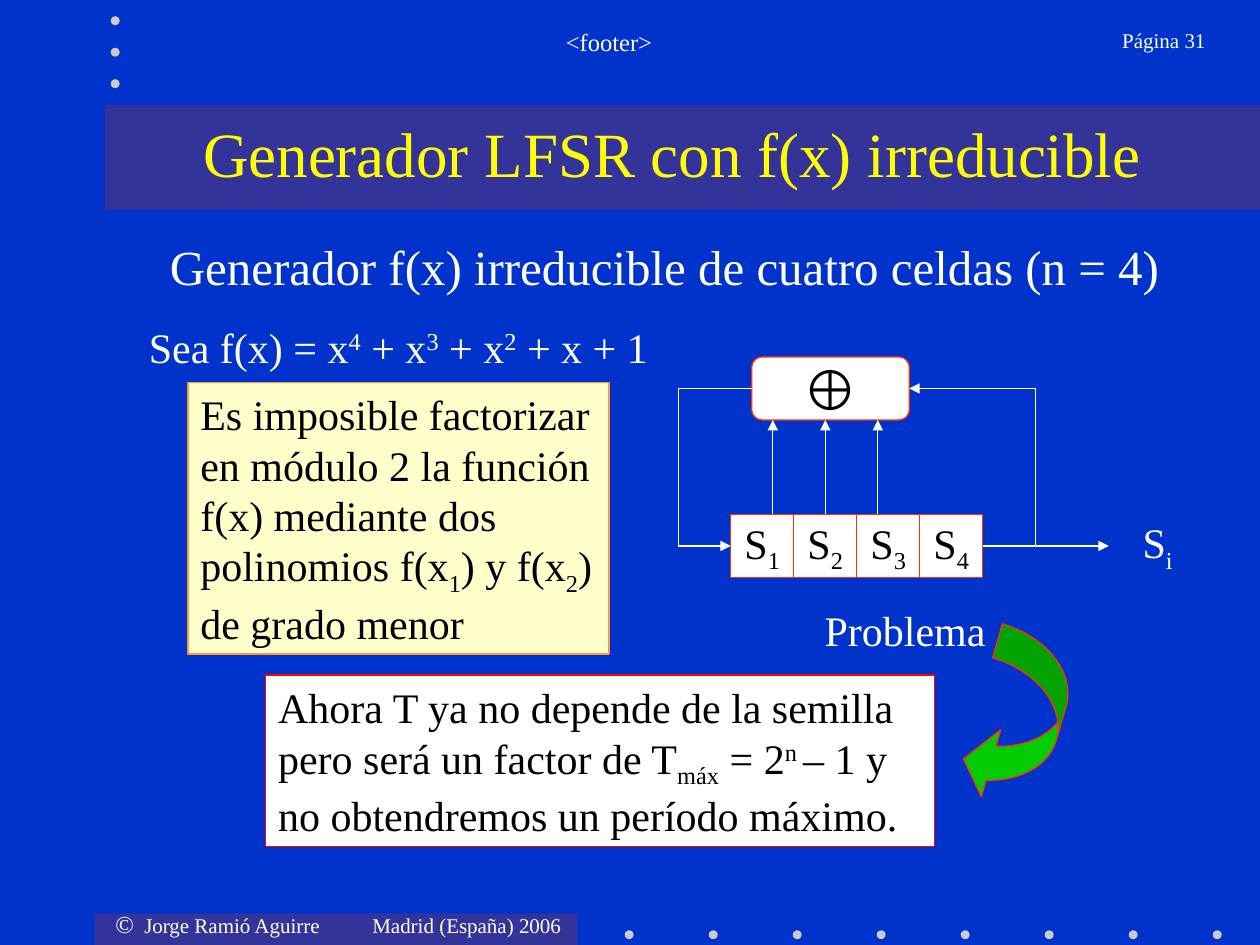
from lxml.etree import SubElement
from pptx import Presentation
from pptx.dml.color import RGBColor
from pptx.enum.shapes import MSO_CONNECTOR, MSO_SHAPE
from pptx.enum.text import MSO_ANCHOR, PP_ALIGN
from pptx.oxml.ns import qn
from pptx.util import Inches, Pt

BLUE = RGBColor(0x00, 0x33, 0xCC)
INDIGO = RGBColor(0x33, 0x33, 0x99)
GREY = RGBColor(0xCB, 0xCB, 0xCB)
WHITE = RGBColor(0xFF, 0xFF, 0xFF)
BLACK = RGBColor(0x00, 0x00, 0x00)
YELLOW = RGBColor(0xFF, 0xFF, 0x00)
CREAM = RGBColor(0xFF, 0xFF, 0xCC)
ORANGE = RGBColor(0xFF, 0x99, 0x33)
VERMILION = RGBColor(0xFF, 0x33, 0x00)
RED = RGBColor(0xFF, 0x00, 0x00)
GREEN = RGBColor(0x00, 0xCC, 0x00)
SUB, SUP = -25000, 30000
LEFT, CENTER, RIGHT = PP_ALIGN.LEFT, PP_ALIGN.CENTER, PP_ALIGN.RIGHT
TOP, MIDDLE = MSO_ANCHOR.TOP, MSO_ANCHOR.MIDDLE

prs = Presentation()
prs.slide_width, prs.slide_height = Inches(10), Inches(7.5)
COL = prs.slide_width / 120
ROW = prs.slide_height / 90
s = prs.slides.add_slide(prs.slide_layouts[5])
s.background.fill.solid()
s.background.fill.fore_color.rgb = BLUE


def grid(x, y, w, h):
    return round(x * COL), round(y * ROW), round(w * COL), round(h * ROW)


def write(paragraphs, at=None, shape=None, kind=None, fill=None, line=None, size=24,
          color=WHITE, font="Times New Roman", align=LEFT, anchor=MIDDLE, wrap=True,
          spacing=None, tabs=()):
    if kind is not None:
        shape = s.shapes.add_shape(kind, *grid(*at))
        shape.shadow.inherit = False
        shape.fill.solid()
        shape.fill.fore_color.rgb = fill
        if line is None:
            shape.line.fill.background()
        else:
            shape.line.color.rgb = line
            shape.line.width = Pt(0.75)
    elif shape is None:
        shape = s.shapes.add_textbox(*grid(*at))
    tf = shape.text_frame
    tf.word_wrap = wrap
    tf.vertical_anchor = anchor
    for i, runs in enumerate(paragraphs):
        p = tf.add_paragraph() if i else tf.paragraphs[0]
        p.alignment = align
        if spacing:
            p.line_spacing = spacing
        if tabs:
            tab_list = SubElement(p._p.get_or_add_pPr(), qn("a:tabLst"))
            for stop in tabs:
                SubElement(tab_list, qn("a:tab"), pos=str(Inches(stop)), algn="l")
        for run in runs:
            text, base = (run, 0) if isinstance(run, str) else run
            r = p.add_run()
            r.text = text
            r.font.name = font
            r.font.size = Pt(size)
            r.font.color.rgb = color
            if base:
                r._r.get_or_add_rPr().set("baseline", str(base))
    return shape


bands = [(9, 87, 46, 3), (10, 10, 110, 10)]
dots = [(59.5 + 8 * i, 88.6) for i in range(8)] + [(10.55, 1.55 + 3 * i) for i in range(3)]
for band in bands:
    write([], at=band, kind=MSO_SHAPE.RECTANGLE, fill=INDIGO)
for x, y in dots:
    write([], at=(x, y, 0.85, 0.85), kind=MSO_SHAPE.OVAL, fill=GREY)

copyright_box = write([["©"]], at=(9.8, 86, 45, 4), size=14, anchor=TOP, tabs=(0.23, 2.04))
r = copyright_box.text_frame.paragraphs[0].add_run()
r.text = "\tJorge Ramió Aguirre\tMadrid (España) 2006"
r.font.name = "Times New Roman"
r.font.size = Pt(12)
r.font.color.rgb = WHITE

write([["<footer>"]], at=(19, 2, 78, 6), size=14, align=CENTER, anchor=TOP)
write([["Página 31"]], at=(99.6, 2, 16.4, 6), size=12, align=RIGHT, anchor=TOP)

title = s.shapes.title
title.left, title.top, title.width, title.height = grid(10, 10, 108, 9)
write([["Generador LFSR con f(x) irreducible"]], shape=title, size=36, color=YELLOW, align=CENTER)
s.shapes._spTree.append(title._element)

write([["Generador f(x) irreducible de cuatro celdas (n = 4)"]], at=(15, 23, 97, 6),
      size=28, anchor=TOP, spacing=0.8)
write([["Sea f(x) = x", ("4", SUP), " + x", ("3", SUP), " + x", ("2", SUP), " + x + 1"]],
      at=(13, 30, 53, 6))
write([["Es imposible factorizar en módulo 2 la función f(x) mediante dos polinomios f(x",
        ("1", SUB), ") y f(x", ("2", SUB), ") de grado menor"]],
      at=(17.9, 36.4, 40.1, 25.9), kind=MSO_SHAPE.RECTANGLE, fill=CREAM, line=ORANGE, color=BLACK)
write([["Ahora T ya no depende de la semilla"],
       ["pero será un factor de T", ("máx", SUB), " = 2", ("n ", SUP),
        "– 1 y no obtendremos un período máximo."]],
      at=(25.3, 64.3, 63.7, 16.3), kind=MSO_SHAPE.RECTANGLE, fill=WHITE, line=RED, color=BLACK)

X0, CELL = 69.6, 6
cells = [write([["S", (str(i + 1), SUB)]], at=(X0 + i * CELL, 49, CELL, CELL),
               kind=MSO_SHAPE.RECTANGLE, fill=WHITE, line=VERMILION, color=BLACK,
               align=CENTER, wrap=False)
         for i in range(4)]
xor = write([["⊕"]], at=(X0 + 2, 34, 15, 6), kind=MSO_SHAPE.ROUNDED_RECTANGLE, fill=WHITE,
            line=VERMILION, color=BLACK, size=32, font="Arial", align=CENTER, wrap=False)
write([["S", ("i", SUB)]], at=(107.6, 48.6, 5.3, 6.7), align=CENTER, wrap=False)
write([["Problema"]], at=(77.3, 57, 17.8, 6), align=CENTER, wrap=False)

bus_left, bus_right = X0 - 5, X0 + 29
wires = [
    (bus_right, 52, bus_right, 37, False, None, None),
    (X0 + 24, 52, X0 + 36, 52, True, (cells[3], 3), None),
    (bus_left, 52, X0, 52, True, None, (cells[0], 1)),
    (bus_right, 37, X0 + 17, 37, True, None, (xor, 3)),
    (X0 + 2, 37, bus_left, 37, False, (xor, 1), None),
    (bus_left, 37, bus_left, 52, False, None, None),
    (X0 + 4, 49, X0 + 4, 40, True, None, None),
    (X0 + 9, 49, X0 + 9, 40, True, (cells[1], 0), None),
    (X0 + 14, 49, X0 + 14, 40, True, None, None),
]
for x1, y1, x2, y2, arrow, begin, end in wires:
    wire = s.shapes.add_connector(MSO_CONNECTOR.STRAIGHT, *grid(x1, y1, x2, y2))
    if begin:
        wire.begin_connect(*begin)
    if end:
        wire.end_connect(*end)
    wire.line.color.rgb = WHITE
    wire.line.width = Pt(0.75)
    if arrow:
        SubElement(wire.line._get_or_add_ln(), qn("a:tailEnd"), type="triangle")
    SubElement(wire._element.spPr, qn("a:effectLst"))

turn = write([], at=(93, 60.2, 8, 16.7), kind=MSO_SHAPE.CURVED_LEFT_ARROW,
             fill=GREEN, line=VERMILION)
turn.rotation = 16.1
for i, value in enumerate((0.42, 0.83, 0.33)):
    turn.adjustments[i] = value

prs.save("out.pptx")
